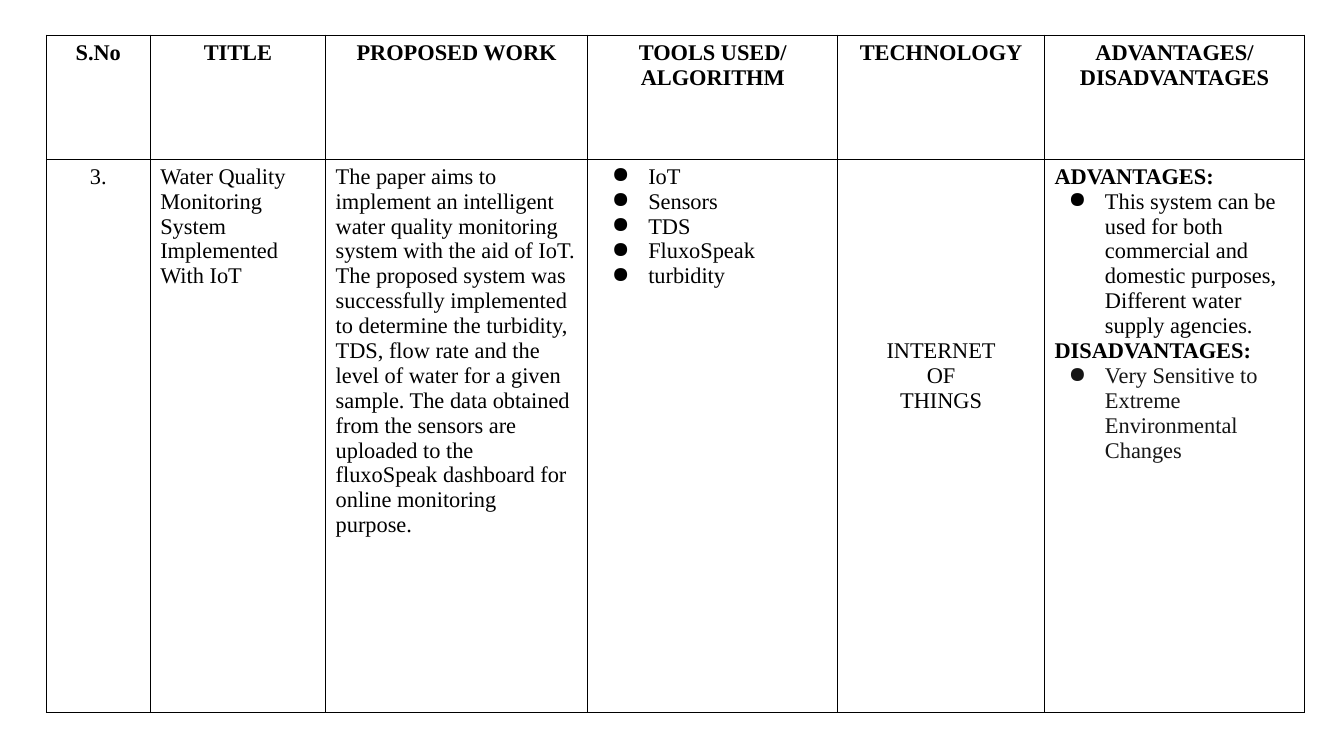
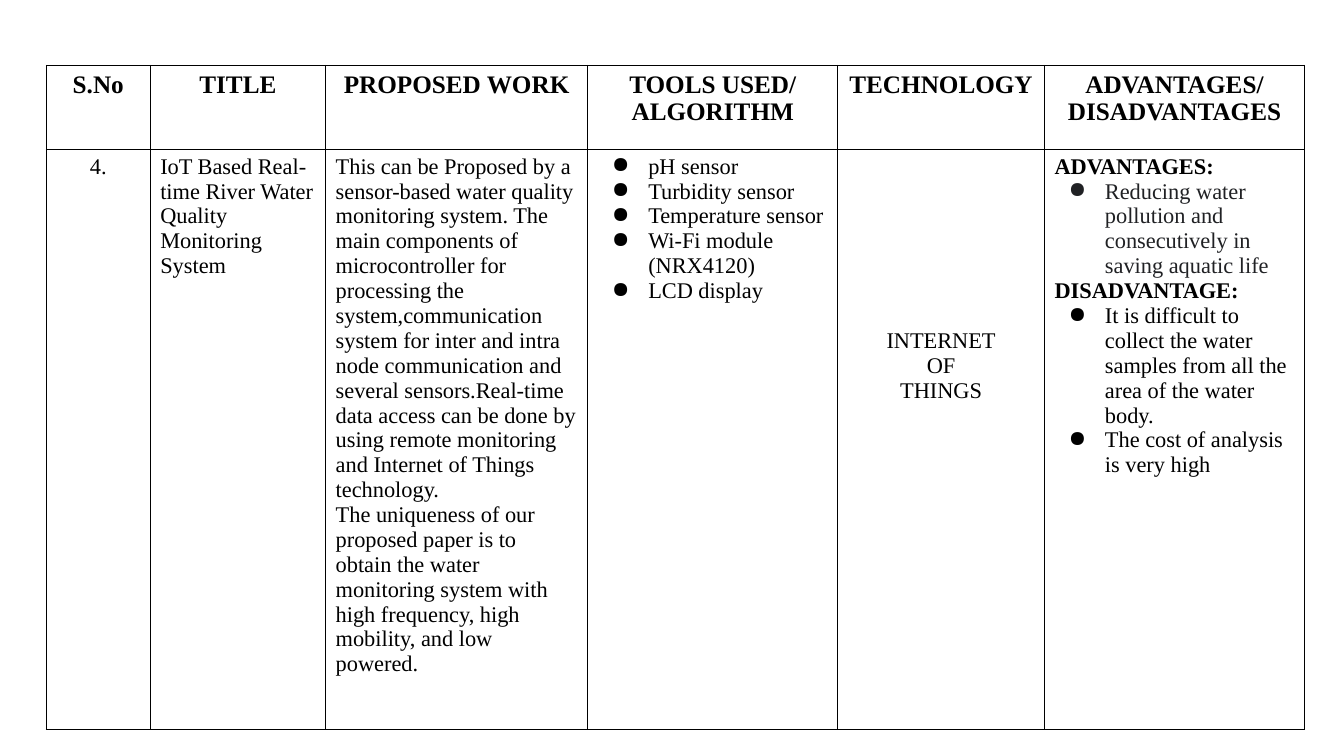
"""Build two literature-survey slides, each holding one bordered table."""
from dataclasses import dataclass

import lxml.etree
import pptx
import pptx.dml.color
import pptx.enum.text
import pptx.oxml.ns
import pptx.presentation
import pptx.table
import pptx.text.text
import pptx.util

BLACK = pptx.dml.color.RGBColor(0x00, 0x00, 0x00)
CHARCOAL = pptx.dml.color.RGBColor(0x16, 0x16, 0x16)
GRAPHITE = pptx.dml.color.RGBColor(0x20, 0x21, 0x24)

FONT = "Times New Roman"
BODY_SIZE = 16
SLIDE_WIDTH, SLIDE_HEIGHT = 13.33, 7.5
TABLE_LEFT = 0.46
COLUMN_WIDTHS = (1.03, 1.74, 2.6, 2.48, 2.05, 2.58)
MARGIN_TOP = 0.05
TECHNOLOGY_MARGIN_TOP = 1.78
TEXT_INDENT, BULLET_OFFSET = 0.5, 0.36
BORDER_WIDTH = 1

LEFT = pptx.enum.text.PP_ALIGN.LEFT
CENTER = pptx.enum.text.PP_ALIGN.CENTER


@dataclass(frozen=True)
class Line:
    text: str
    bold: bool = False
    color: pptx.dml.color.RGBColor = BLACK
    align: pptx.enum.text.PP_ALIGN = LEFT
    size: int = BODY_SIZE
    indented: bool = False
    bullet: bool = False


@dataclass(frozen=True)
class Survey:
    top: float
    row_heights: tuple[float, float]
    header_size: int
    number: str
    title: str
    work: tuple[str, ...]
    tools: tuple[str, ...]
    verdict: tuple[Line, ...]


def bullet(text: str, color: pptx.dml.color.RGBColor = BLACK) -> Line:
    """Return a bulleted line."""
    return Line(text, color=color, indented=True, bullet=True)


HEADERS = (
    ("S.No",),
    ("TITLE",),
    ("PROPOSED WORK",),
    ("TOOLS USED/", "ALGORITHM"),
    ("TECHNOLOGY",),
    ("ADVANTAGES/ DISADVANTAGES",),
)
TECHNOLOGY = ("INTERNET", "OF", "THINGS")
TECHNOLOGY_COLUMN = HEADERS.index(("TECHNOLOGY",))

SURVEYS = (
    Survey(
        top=0.35,
        row_heights=(1.23, 5.49),
        header_size=16,
        number="3.",
        title="Water Quality Monitoring System Implemented With IoT",
        work=(
            "The paper aims to implement an intelligent water quality monitoring "
            "system with the aid of IoT. The proposed system was successfully "
            "implemented to determine the turbidity, TDS, flow rate and the level "
            "of water for a given sample. The data obtained from the sensors are",
            "uploaded to the fluxoSpeak dashboard for online monitoring",
            "purpose.",
        ),
        tools=("IoT", "Sensors", "TDS", "FluxoSpeak", "turbidity"),
        verdict=(
            Line("ADVANTAGES:", bold=True),
            bullet("This system can be used for both commercial and"),
            Line("domestic purposes,", indented=True),
            Line("Different water supply agencies.", indented=True),
            Line("DISADVANTAGES:", bold=True),
            bullet("Very Sensitive to Extreme Environmental Changes", CHARCOAL),
        ),
    ),
    Survey(
        top=0.65,
        row_heights=(0.83, 5.76),
        header_size=18,
        number="4.",
        title="IoT Based Real-time River Water Quality Monitoring System",
        work=(
            "This can be Proposed by a sensor-based water quality monitoring system. "
            "The main components of microcontroller for processing the "
            "system,communication system for inter and intra node communication and "
            "several sensors.Real-time data access can be done by using remote "
            "monitoring and Internet of Things technology.",
            "The uniqueness of our",
            "proposed paper is to obtain the water monitoring system with high "
            "frequency, high mobility, and low powered.",
        ),
        tools=(
            "pH sensor",
            "Turbidity sensor",
            "Temperature sensor",
            "Wi-Fi module (NRX4120)",
            "LCD display",
        ),
        verdict=(
            Line("ADVANTAGES:", bold=True),
            bullet(
                "Reducing water pollution and consecutively in saving aquatic life",
                GRAPHITE,
            ),
            Line("DISADVANTAGE:", bold=True),
            bullet(
                "It is difficult to collect the water samples from all the area "
                "of the water body."
            ),
            bullet("The cost of analysis is very high"),
        ),
    ),
)


def add_element(parent: lxml.etree._Element, tag: str, **attributes: str) -> lxml.etree._Element:
    """Append a DrawingML element to its parent."""
    return lxml.etree.SubElement(parent, pptx.oxml.ns.qn(tag), **attributes)


def draw_borders(cell: pptx.table._Cell) -> None:
    """Give a cell four black borders and no fill."""
    properties = cell._tc.get_or_add_tcPr()
    width = str(pptx.util.Pt(BORDER_WIDTH))
    for edge in ("a:lnL", "a:lnR", "a:lnT", "a:lnB"):
        border = add_element(properties, edge, w=width)
        add_element(add_element(border, "a:solidFill"), "a:srgbClr", val=str(BLACK))
    cell.fill.background()


def format_paragraph(para: pptx.text.text._Paragraph, line: Line) -> None:
    """Write one line of text into a paragraph."""
    para.text = line.text
    para.alignment = line.align
    if line.indented:
        properties = para._p.get_or_add_pPr()
        offset = BULLET_OFFSET if line.bullet else 0
        properties.set("marL", str(pptx.util.Inches(TEXT_INDENT)))
        properties.set("indent", str(-pptx.util.Inches(offset)))
        if line.bullet:
            add_element(add_element(properties, "a:buClr"), "a:srgbClr", val=str(line.color))
            add_element(properties, "a:buChar", char="●")
    para.font.name = FONT
    para.font.size = pptx.util.Pt(line.size)
    para.font.bold = line.bold
    para.font.color.rgb = line.color


def fill_cell(cell: pptx.table._Cell, lines: tuple[Line, ...], margin_top: float) -> None:
    """Draw a cell's borders and write its lines."""
    draw_borders(cell)
    cell.margin_top = pptx.util.Inches(margin_top)
    frame = cell.text_frame
    for index, line in enumerate(lines):
        para = frame.add_paragraph() if index else frame.paragraphs[0]
        format_paragraph(para, line)


def survey_rows(survey: Survey) -> tuple[tuple[tuple[Line, ...], ...], ...]:
    """Arrange a survey as a header row and a body row."""
    header = tuple(
        tuple(Line(text, bold=True, align=CENTER, size=survey.header_size) for text in texts)
        for texts in HEADERS
    )
    body = (
        (Line(survey.number, align=CENTER),),
        (Line(survey.title),),
        tuple(Line(text) for text in survey.work),
        tuple(bullet(text) for text in survey.tools),
        tuple(Line(text, align=CENTER) for text in TECHNOLOGY),
        survey.verdict,
    )
    return header, body


def add_survey_slide(deck: pptx.presentation.Presentation, survey: Survey) -> None:
    """Add a slide with one survey table."""
    page = deck.slides.add_slide(deck.slide_layouts.get_by_name("Blank"))
    rows = survey_rows(survey)
    table = page.shapes.add_table(
        len(rows),
        len(COLUMN_WIDTHS),
        pptx.util.Inches(TABLE_LEFT),
        pptx.util.Inches(survey.top),
        pptx.util.Inches(sum(COLUMN_WIDTHS)),
        pptx.util.Inches(sum(survey.row_heights)),
    ).table
    table.first_row = False
    table.horz_banding = False
    for column, width in zip(table.columns, COLUMN_WIDTHS):
        column.width = pptx.util.Inches(width)
    for row, height in zip(table.rows, survey.row_heights):
        row.height = pptx.util.Inches(height)
    for row_index, row in enumerate(rows):
        for column_index, lines in enumerate(row):
            lowered = row_index == 1 and column_index == TECHNOLOGY_COLUMN
            margin_top = TECHNOLOGY_MARGIN_TOP if lowered else MARGIN_TOP
            fill_cell(table.cell(row_index, column_index), lines, margin_top)


def main() -> None:
    """Build and save the deck."""
    deck = pptx.Presentation()
    deck.slide_width = pptx.util.Inches(SLIDE_WIDTH)
    deck.slide_height = pptx.util.Inches(SLIDE_HEIGHT)
    for survey in SURVEYS:
        add_survey_slide(deck, survey)
    deck.save("out.pptx")


if __name__ == "__main__":
    main()
